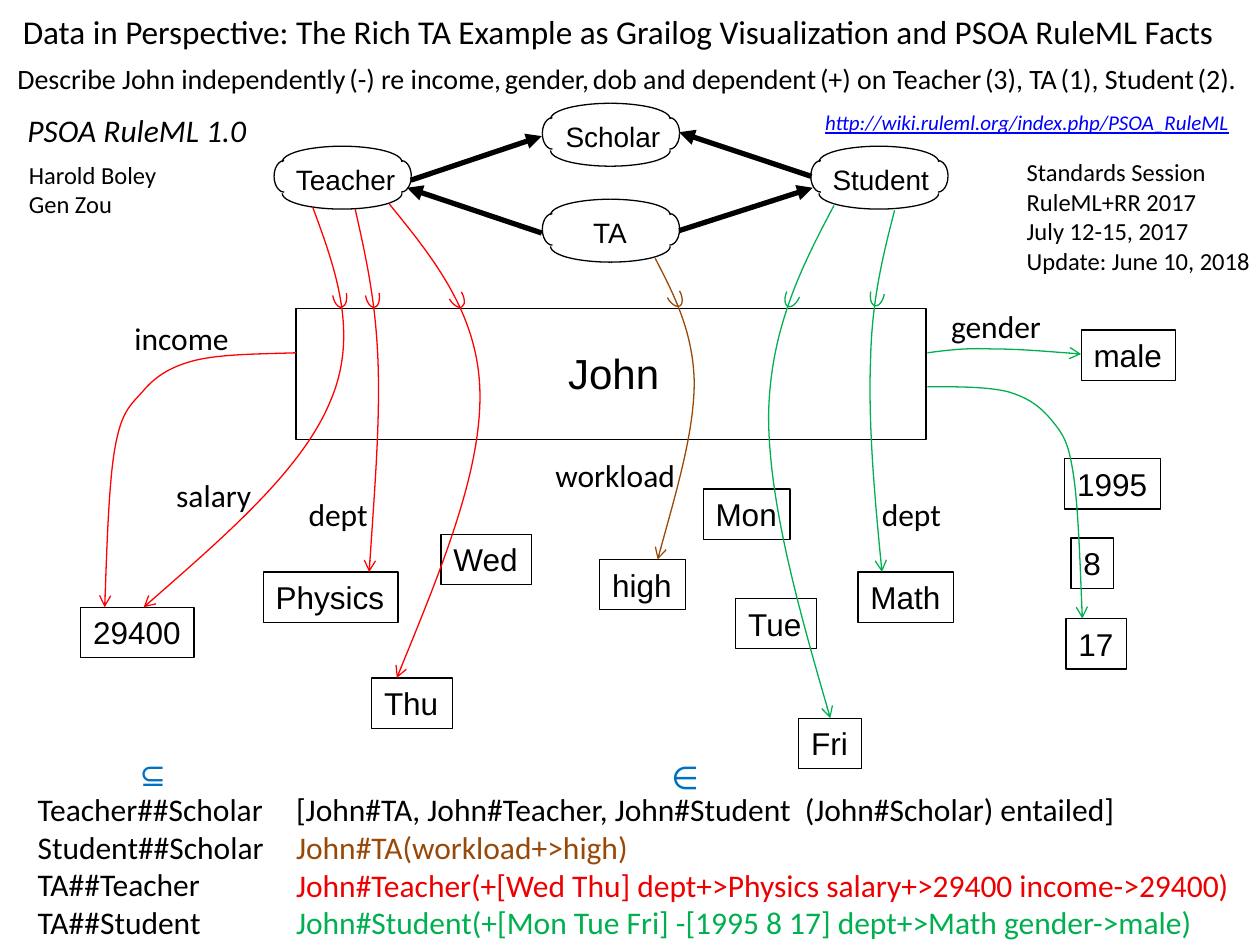
from lxml import etree
from pptx import Presentation
from pptx.dml.color import RGBColor
from pptx.enum import shapes, text
from pptx.oxml import ns
from pptx.util import Pt

BLACK = RGBColor(0x00, 0x00, 0x00)
BLUE = RGBColor(0x00, 0x70, 0xC0)
LINK = RGBColor(0x00, 0x00, 0xFF)
BROWN = RGBColor(0x98, 0x48, 0x07)
RED = RGBColor(0xFF, 0x00, 0x00)
DARK_RED = RGBColor(0xEE, 0x00, 0x00)
GREEN = RGBColor(0x00, 0xB0, 0x50)

THIN, THICK = 0.75, 3
BOX_H = 28.8

# name, text left, text width, cloud left, cloud top
CLASSES = [
    ("Scholar", 316.1, 69.1, 314.6, 59),
    ("TA", 331.9, 33.8, 314.6, 113.8),
    ("Teacher", 162, 72, 161.3, 83.5),
    ("Student", 468.7, 70.6, 468, 83.5),
]
SUBCLASS_ARROWS = [
    ((234.7, 103), (309.6, 77.8)),
    ((463.7, 100.8), (388.1, 75.6)),
    ((388.1, 131.8), (464.4, 107.3)),
    ((309.6, 133.2), (232.6, 107.3)),
]
VALUES = [
    ("Mon", 401.8, 279.4, 49.7), ("Wed", 252, 305.3, 51.8),
    ("Thu", 212.4, 387.4, 46.1), ("high", 342.7, 319.7, 49),
    ("Tue", 420.5, 342, 46.1), ("Fri", 456.5, 410.4, 36),
    ("1995", 608.4, 262.1, 54.7), ("male", 617.8, 188.6, 54),
    ("8", 612, 307.4, 24.5), ("17", 609.1, 353.5, 34.6),
    ("Physics", 150.5, 326.9, 77), ("Math", 490.3, 326.9, 54.7),
    ("29400", 46.1, 347, 64.8),
]
SLOT_NAMES = [
    ("workload", 310.3, 257, 83.5), ("gender", 536.4, 172.1, 67),
    ("dept", 496.8, 279.4, 49), ("dept", 169.2, 279.4, 49),
    ("salary", 93.6, 268.6, 57.6), ("income", 69.8, 178.6, 69.1),
]
# colour, start point followed by Bezier triples
INDEPENDENT = [
    (GREEN, [(529.9, 201.6), (540.7, 200.2), (551.5, 198.7), (566.6, 199.4),
             (581, 199.4), (599.8, 200.9), (617.8, 202.3)]),
    (GREEN, [(529.9, 221), (547.2, 221), (564.5, 221), (576, 223.9),
             (588.2, 227.5), (594.7, 232.6), (601.2, 240.5),
             (607.7, 248.4), (610.6, 252.7), (613.4, 271.4),
             (616.3, 290.2), (617.8, 339.8), (618.5, 353.5)]),
    (RED, [(169.2, 201.6), (148.3, 202.3), (126.7, 202.3), (111.6, 205.9),
           (97.2, 209.5), (88.6, 215.3), (81.4, 223.9),
           (73.4, 232.6), (69.1, 236.2), (65.5, 257),
           (61.9, 277.9), (60.5, 331.9), (59.8, 347)]),
]
# colour, curve, hook left, hook top, hook rotation
DEPENDENT = [
    (RED, [(222.5, 116.6), (248.4, 148.3), (273.6, 180), (274.3, 224.6),
           (275, 270), (250.6, 329), (226.8, 387.4)], 256.3, 161.3, 329.7),
    (RED, [(203, 119.5), (208.8, 145.4), (214.6, 170.6), (216, 205.2),
           (217.4, 239.8), (213.8, 283.7), (211, 326.9)], 208.8, 160.6, 350),
    (RED, [(178.6, 118.1), (192.2, 154.8), (205.2, 191.5), (188.6, 229.7),
           (172.8, 267.8), (127.4, 307.4), (82.1, 347)], 190.1, 160.6, 350.6),
    (GREEN, [(476.6, 117.4), (457.9, 152.6), (439.9, 188.6), (439.2, 237.6),
             (439.2, 285.8), (456.5, 348.5), (474.5, 410.4)], 449.3, 160.6, 22.9),
    (BROWN, [(374.4, 147.6), (385.2, 168.5), (396, 189.4), (396.7, 218.2),
             (396.7, 246.2), (385.9, 283), (375.8, 319.7)], 380.9, 160.6, 331.6),
    (GREEN, [(511.2, 120.2), (504.7, 145.4), (498.2, 171.4), (497.5, 205.2),
             (496.1, 239.8), (499.7, 283.7), (504, 326.9)], 497.5, 159.8, 10.7),
]


def add_run(paragraph, wording, size, color=BLACK, font="Calibri"):
    """Append one formatted run and return it."""
    run = paragraph.add_run()
    run.text = wording
    run.font.name, run.font.size = font, Pt(size)
    run.font.color.rgb = color
    return run


def add_label(slide, lines, frame, size, color=BLACK, font="Calibri", wrap=False):
    """Place a text box with one paragraph per line; return it."""
    label = slide.shapes.add_textbox(*map(Pt, frame))
    label.text_frame.word_wrap = wrap
    for i, line in enumerate(lines):
        paragraph = label.text_frame.paragraphs[0] if i == 0 else label.text_frame.add_paragraph()
        add_run(paragraph, line, size, color, font)
    return label


def fill_placeholder(placeholder, lines, frame, size):
    """Move a placeholder and fill it with plain (wording, colour) lines."""
    placeholder.left, placeholder.top, placeholder.width, placeholder.height = map(Pt, frame)
    body = placeholder.text_frame
    body.word_wrap, body.auto_size = True, text.MSO_AUTO_SIZE.NONE
    body.vertical_anchor = text.MSO_ANCHOR.TOP
    for i, (wording, color) in enumerate(lines):
        paragraph = body.paragraphs[0] if i == 0 else body.add_paragraph()
        paragraph.alignment = text.PP_ALIGN.LEFT
        paragraph.space_before = Pt(0)
        properties = paragraph._p.get_or_add_pPr()
        properties.set("marL", "0")
        properties.set("indent", "0")
        etree.SubElement(properties, ns.qn("a:buNone"))
        add_run(paragraph, wording, size, color)


def outline(shape, color=BLACK):
    """Leave a shape unfilled with a thin line and no shadow."""
    shape.shadow.inherit = False
    shape.fill.background()
    shape.line.color.rgb, shape.line.width = color, Pt(THIN)


def add_head(shape, kind):
    """Put an arrowhead at the end of a line."""
    etree.SubElement(shape.line._get_or_add_ln(), ns.qn("a:tailEnd"), type=kind)


def add_arc(slide, frame, rotation, flip, color=BLACK):
    """Draw a quarter arc, flipped along the axes named in flip."""
    arc = slide.shapes.add_shape(shapes.MSO_SHAPE.ARC, *map(Pt, frame))
    outline(arc, color)
    arc.rotation = rotation
    for axis in flip:
        arc._element.spPr.xfrm.set("flip" + axis.upper(), "1")


def add_cloud(slide, left, top):
    """Draw a class outline from four pairs of arcs."""
    for dx, dy, width, height, rotation, flips in (
            (0, 0, 68.4, 18, 180, ("v", "hv")),
            (0, 18, 68.4, 18, 0, ("v", "hv")),
            (59, 11.5, 18, 11.5, 270, ("hv", "v")),
            (-7.9, 11.5, 18, 11.5, 90, ("hv", "v"))):
        for flip in flips:
            add_arc(slide, (left + dx, top + dy, width, height), rotation, flip)


def add_curve(slide, points, color):
    """Draw a Bezier curve that ends in an open arrowhead."""
    corners = [(Pt(x), Pt(y)) for x, y in points]
    builder = slide.shapes.build_freeform(*corners[0], scale=1.0)
    builder.add_line_segments(corners[1:], close=False)
    curve = builder.convert_to_shape()
    segments = curve._element.xpath(".//a:lnTo")
    for i in range(0, len(segments), 3):
        bezier = etree.Element(ns.qn("a:cubicBezTo"))
        segments[i].addprevious(bezier)
        for segment in segments[i:i + 3]:
            bezier.append(segment[0])
            segment.getparent().remove(segment)
    outline(curve, color)
    add_head(curve, "arrow")


def add_arrow(slide, start, end):
    """Draw a thick straight subclass arrow."""
    arrow = slide.shapes.add_connector(
        shapes.MSO_CONNECTOR.STRAIGHT, *map(Pt, start + end))
    arrow.line.color.rgb, arrow.line.width = BLACK, Pt(THICK)
    add_head(arrow, "triangle")
    etree.SubElement(arrow._element.spPr, ns.qn("a:effectLst"))


def add_texts(slide):
    """Write the heading, credits and fact lists."""
    fill_placeholder(slide.shapes.title, [(
        "Data in Perspective: The Rich TA Example as Grailog Visualization "
        "and PSOA RuleML Facts", BLACK)], (5.8, 2.9, 717.1, 30.2), 19)
    fill_placeholder(slide.placeholders[1], [
        ("[John#TA, John#Teacher, John#Student  (John#Scholar) entailed]", BLACK),
        ("John#TA(workload+>high)", BROWN),
        ("John#Teacher(+[Wed Thu] dept+>Physics salary+>29400 income->29400)", DARK_RED),
        ("John#Student(+[Mon Tue Fri] -[1995 8 17] dept+>Math gender->male)", GREEN),
    ], (162, 447.8, 549.4, 94.3), 18)
    add_label(slide, ["Teacher##Scholar", "Student##Scholar", "TA##Teacher", "TA##Student"],
              (14.4, 447.8, 145.4, 94.3), 18)
    add_label(slide, ["\u2286"], (72.7, 427.7, 27.4, BOX_H), 18, BLUE)
    add_label(slide, ["\u2208"], (376.6, 429.8, 27.4, BOX_H), 18, BLUE)
    version = add_label(slide, ["PSOA RuleML 1.0"], (8.6, 59.8, 141.8, BOX_H), 18)
    address = add_label(slide, ["http://wiki.ruleml.org/index.php/PSOA_RuleML"],
                        (464.4, 59, 247.7, 21.6), 12, LINK)
    for label in (version, address):
        label.text_frame.paragraphs[0].runs[0].font.italic = True
    address.text_frame.paragraphs[0].runs[0].font.underline = True
    add_label(slide, ["Harold Boley", "Gen Zou"], (9.4, 87.8, 87.8, 41), 14)
    add_label(slide, ["Standards Session", "RuleML+RR 2017", "July 12-15, 2017",
                      "Update: June 10, 2018"], (579.6, 86.4, 143.3, 74.9), 14)
    phrases = ["Describe John independently", "(-) re income,", "gender,",
               "dob and dependent", "(+) on Teacher", "(3), TA", "(1), Student", "(2)."]
    summary = add_label(slide, phrases[:1], (2.9, 31.7, 717.1, 26.6), 16, wrap=True)
    for phrase in phrases[1:]:
        add_run(summary.text_frame.paragraphs[0], " ", 9)
        add_run(summary.text_frame.paragraphs[0], phrase, 16)


def add_diagram(slide):
    """Draw the classes, John, the slot values and the arrows."""
    for name, text_left, text_width, left, top in CLASSES:
        add_label(slide, [name], (text_left, top + 5.8, text_width, 26.6), 16, font="Arial")
        add_cloud(slide, left, top)
    for start, end in SUBCLASS_ARROWS:
        add_arrow(slide, start, end)
    john = slide.shapes.add_shape(
        shapes.MSO_SHAPE.RECTANGLE, *map(Pt, (169.2, 176.4, 360, 74.9)))
    outline(john)
    add_label(slide, ["John"], (317.5, 195.1, 70.6, 36), 24, font="Arial", wrap=True)
    for value, left, top, width in VALUES:
        box = add_label(slide, [value], (left, top, width, BOX_H), 18, font="Arial")
        box.line.color.rgb, box.line.width = BLACK, Pt(THIN)
    for slot, left, top, width in SLOT_NAMES:
        add_label(slide, [slot], (left, top, width, BOX_H), 18)
    for color, points in INDEPENDENT:
        add_curve(slide, points, color)
    for color, points, left, top, rotation in DEPENDENT:
        add_curve(slide, points, color)
        for flip in ("v", "hv"):
            add_arc(slide, (left, top, 7.9, 15.1), rotation, flip, color)


def main():
    """Build and save the slide."""
    deck = Presentation()
    deck.slide_width, deck.slide_height = Pt(720), Pt(540)
    slide = deck.slides.add_slide(deck.slide_layouts[1])
    add_texts(slide)
    add_diagram(slide)
    deck.save("out.pptx")


main()
